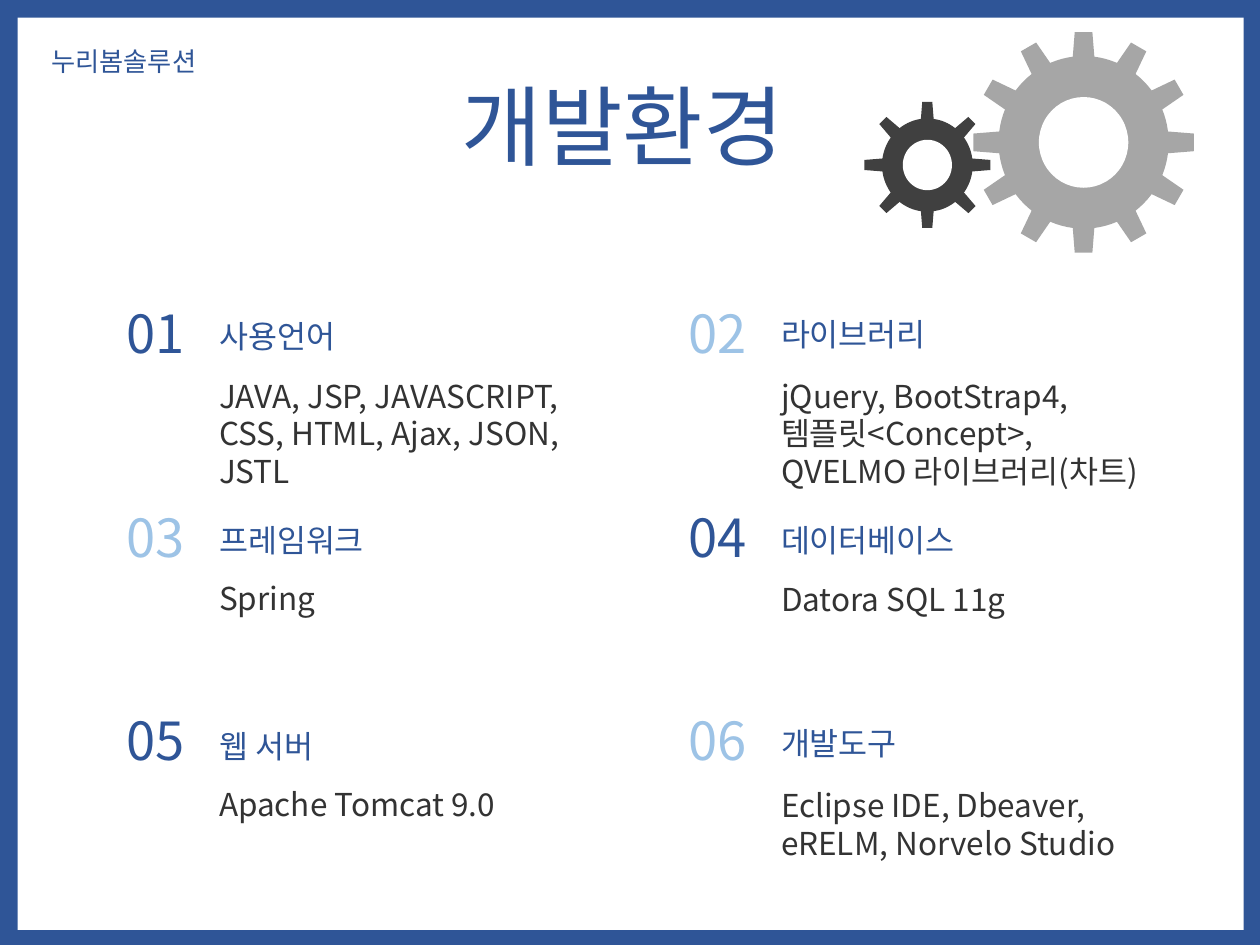
import pptx
import pptx.util
import pptx.dml.color
import pptx.enum.shapes
import pptx.enum.text
import pptx.oxml
import pptx.oxml.ns

Inches = pptx.util.Inches
SHAPE = pptx.enum.shapes.MSO_SHAPE
ALIGN = pptx.enum.text.PP_ALIGN
ANCHOR = pptx.enum.text.MSO_ANCHOR

# Content
TEAM = "누리봄솔루션"
TITLE = "개발환경"
# heading, lines, number colour, heading offset, body offset from the row top
ITEMS = [
    ("사용언어", ["JAVA, JSP, JAVASCRIPT,", "CSS, HTML, Ajax, JSON,", "JSTL"], "blue", 0.13, 0.6),
    ("라이브러리", ["jQuery, BootStrap4,", "템플릿<Concept>,", "QVELMO 라이브러리(차트)"], "sky", 0.11, 0.6),
    ("프레임워크", ["Spring"], "sky", 0.13, 0.59),
    ("데이터베이스", ["Datora SQL 11g"], "blue", 0.13, 0.6),
    ("웹 서버", ["Apache Tomcat 9.0"], "blue", 0.15, 0.61),
    ("개발도구", ["Eclipse IDE, Dbeaver,", "eRELM, Norvelo Studio"], "sky", 0.13, 0.62),
]
# centre x, centre y, tooth size, hub size, hole size, angle step, colour
GEARS = [
    (8.6, 1.13, (0.28, 1.75), (1.35, 1.37), (0.71, 0.72), 30, "grey"),
    (7.36, 1.31, (0.16, 1.0), (0.72, 0.74), (0.39, 0.4), 45, "dark"),
]
COLORS = {"blue": "2F5597", "sky": "9DC3E6", "white": "FFFFFF",
          "grey": "A6A6A6", "dark": "404040", "text": "333333"}
FONT = "Noto Sans CJK KR"

# Grid
COLUMN_LEFT, COLUMN_STEP = 0.83, 4.46
ROW_TOP, ROW_STEP = 2.34, 1.615
NUMBER_WIDTH = 0.81


def rgb(name):
    return pptx.dml.color.RGBColor.from_string(COLORS[name])


def add_shape(slide, kind, left, top, width, height, color, rotation=0):
    shape = slide.shapes.add_shape(kind, Inches(left), Inches(top), Inches(width), Inches(height))
    shape.shadow.inherit = False
    shape.fill.solid()
    shape.fill.fore_color.rgb = rgb(color)
    shape.line.fill.background()
    shape.rotation = rotation


def add_gear(slide, center_x, center_y, tooth, hub, hole, step, color):
    def centered(kind, size, fill, rotation=0):
        width, height = size
        add_shape(slide, kind, center_x - width / 2, center_y - height / 2,
                  width, height, fill, rotation)

    for angle in range(0, 180, step):
        centered(SHAPE.HEXAGON, tooth, color, angle)
    centered(SHAPE.OVAL, hub, color)
    centered(SHAPE.OVAL, hole, "white")


def write(frame, lines, size, color, alignment=ALIGN.LEFT):
    frame.word_wrap = True
    for index, line in enumerate(lines):
        paragraph = frame.paragraphs[0] if index == 0 else frame.add_paragraph()
        paragraph.alignment = alignment
        run = paragraph.add_run()
        run.text = line
        for name, value in {"name": FONT, "size": pptx.util.Pt(size)}.items():
            setattr(run.font, name, value)
        run.font.color.rgb = rgb(color)
        east_asian = pptx.oxml.parse_xml(
            f'<a:ea {pptx.oxml.ns.nsdecls("a")} typeface="{FONT}"/>')
        run.font._element.append(east_asian)


def add_text(slide, left, top, width, height, lines, size, color, alignment=ALIGN.LEFT):
    box = slide.shapes.add_textbox(Inches(left), Inches(top), Inches(width), Inches(height))
    write(box.text_frame, lines, size, color, alignment)
    box.text_frame.auto_size = pptx.enum.text.MSO_AUTO_SIZE.SHAPE_TO_FIT_TEXT


def main():
    presentation = pptx.Presentation()
    presentation.slide_width, presentation.slide_height = Inches(10), Inches(7.5)
    slide = presentation.slides.add_slide(presentation.slide_layouts[5])

    # Frame and team name
    add_shape(slide, SHAPE.RECTANGLE, 0, 0, 10, 7.5, "blue")
    add_shape(slide, SHAPE.RECTANGLE, 0.14, 0.14, 9.73, 7.24, "white")
    add_text(slide, 0.31, 0.31, 2.94, 0.35, [TEAM], 15, "blue")

    # Title, raised above the frame
    title = slide.shapes.title
    slide.shapes.element.append(title.element)
    box = {"left": 3.09, "top": 0.47, "width": 3.71, "height": 1.04}
    for name, value in box.items():
        setattr(title, name, Inches(value))
    margins = ("margin_left", "margin_top", "margin_right", "margin_bottom")
    frame_format = {name: Inches(0.1) for name in margins}
    frame_format["vertical_anchor"] = ANCHOR.MIDDLE
    frame_format["auto_size"] = pptx.enum.text.MSO_AUTO_SIZE.NONE
    for name, value in frame_format.items():
        setattr(title.text_frame, name, value)
    write(title.text_frame, [TITLE], 50, "blue", ALIGN.CENTER)

    # Gears
    for gear in GEARS:
        add_gear(slide, *gear)

    # Numbered items in two columns
    for index, (heading, lines, color, heading_offset, body_offset) in enumerate(ITEMS):
        row, column = divmod(index, 2)
        left = COLUMN_LEFT + column * COLUMN_STEP
        top = ROW_TOP + row * ROW_STEP
        text_left = left + NUMBER_WIDTH
        add_text(slide, left, top, NUMBER_WIDTH, 0.61, [f"{index + 1:02}"], 30, color, ALIGN.CENTER)
        add_text(slide, text_left, top + heading_offset, 2.78, 0.4, [heading], 18, "blue")
        add_text(slide, text_left, top + body_offset, 3.42, 0.1 + 0.3 * len(lines),
                 lines, 18, "text")

    presentation.save("out.pptx")


if __name__ == "__main__":
    main()
